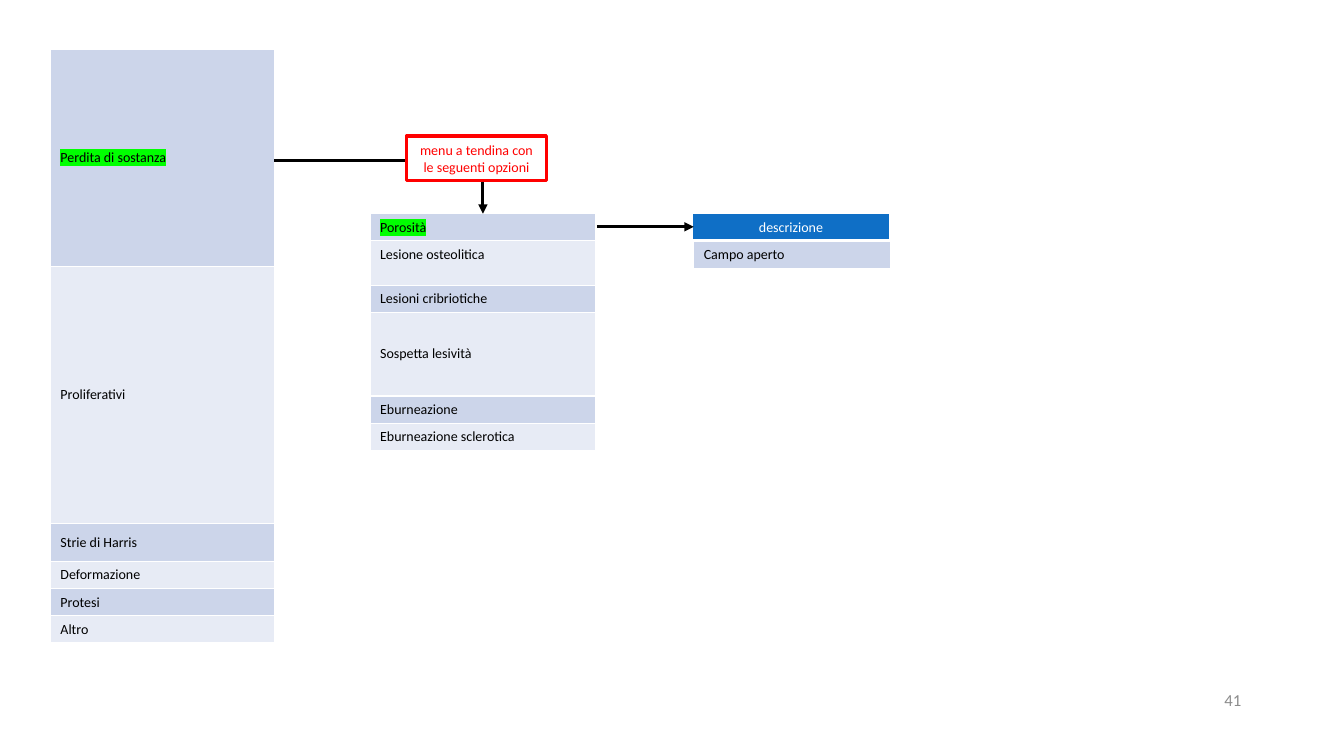
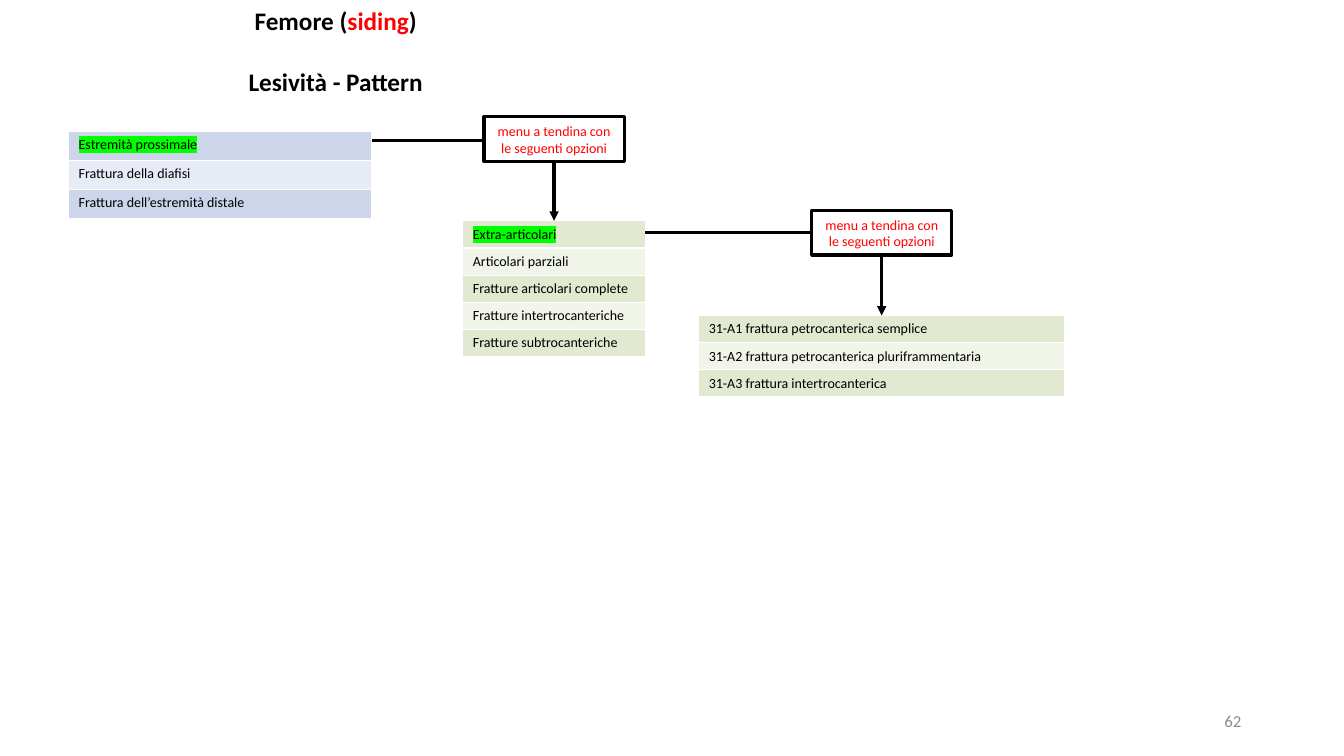
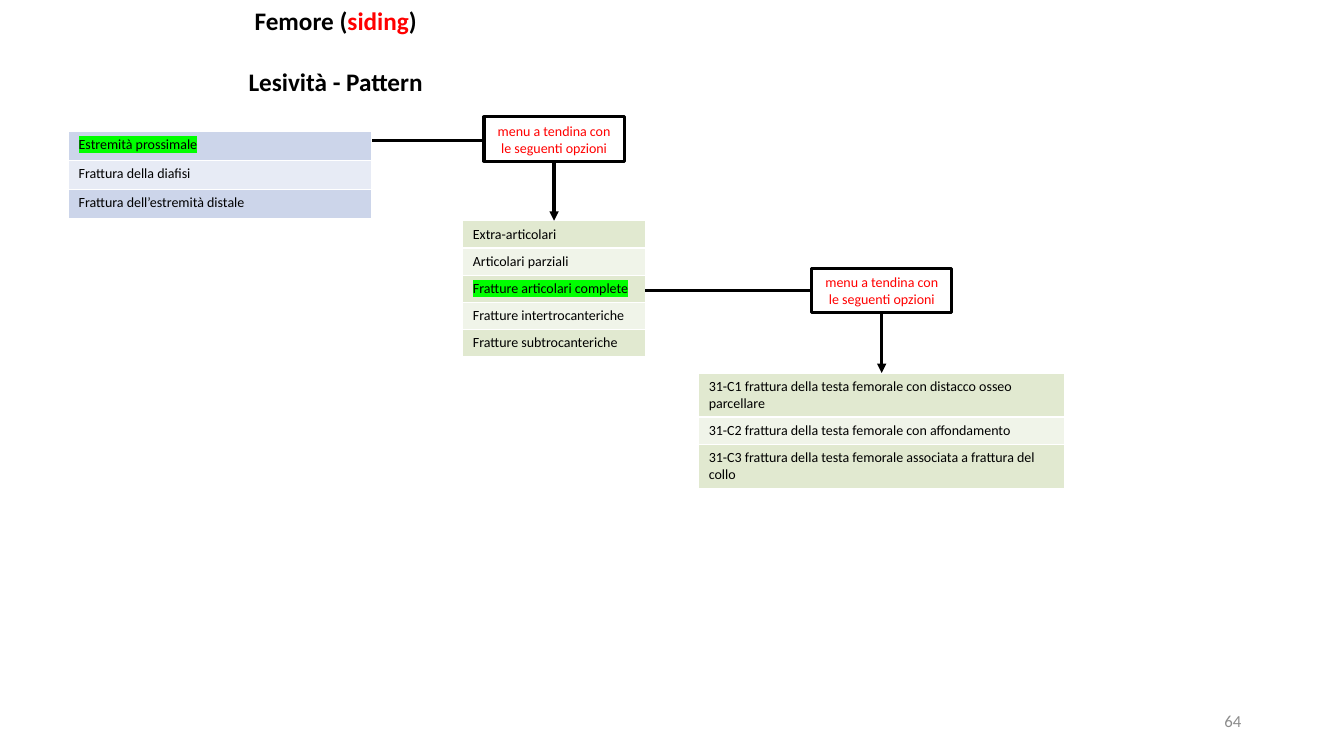
from lxml.etree import SubElement
from pptx import Presentation
from pptx.dml.color import RGBColor
from pptx.enum.shapes import MSO_CONNECTOR, MSO_SHAPE
from pptx.enum.text import MSO_ANCHOR, PP_ALIGN
from pptx.oxml.ns import qn
from pptx.util import Inches, Pt

HUES = {
    "black": "000000", "white": "FFFFFF", "red": "FF0000", "lime": "00FF00",
    "grey": "8C8C8C", "blue": "0F6FC6",
}
BLUES = ("CCD5EA", "E7EBF5")
GREENS = ("E1E9D0", "F0F4E9")
BODY = {"name": "Calibri", "size": Pt(10), "bold": False}
HEAD = {"name": "Calibri", "size": Pt(18), "bold": True}
FOOT = {"name": "Calibri", "size": Pt(12), "bold": False}
ROW = 0.27
MENU = "menu a tendina con le seguenti opzioni"
BOX_W, BOX_H = 1.39, 0.44

ENDS = ["Estremità prossimale", "Frattura della diafisi",
        "Frattura dell’estremità distale"]
KINDS = ["Extra-articolari", "Articolari parziali", "Fratture articolari complete",
         "Fratture intertrocanteriche", "Fratture subtrocanteriche"]


def write(para, text, style=BODY, hue="black", mark=False):
    run = para.add_run()
    run.text = text
    for key, value in style.items():
        setattr(run.font, key, value)
    run.font.color.rgb = RGBColor.from_string(HUES[hue])
    if mark:
        fill = run._r.rPr.find(qn("a:solidFill"))
        light = SubElement(run._r.rPr, qn("a:highlight"))
        SubElement(light, qn("a:srgbClr"), val=HUES["lime"])
        fill.addnext(light)


def edge(cell, base):
    """Draw white cell borders; base is the bottom one's width in points."""
    props = cell._tc.get_or_add_tcPr()
    for side, width in (("L", 1), ("R", 1), ("T", 1), ("B", base)):
        line = SubElement(props, qn(f"a:ln{side}"), w=str(Pt(width)))
        fill = SubElement(line, qn("a:solidFill"))
        SubElement(fill, qn("a:srgbClr"), val=HUES["white"])


def add_list(slide, left, top, width, items, tints, rows=None, mark=None,
             high=(), hue="black", align=PP_ALIGN.LEFT, base=1):
    """One-column table; mark is the highlighted row, high the top-anchored rows."""
    rows = rows or [ROW] * len(items)
    frame = slide.shapes.add_table(len(items), 1, Inches(left), Inches(top),
                                   Inches(width), Inches(sum(rows)))
    table = frame.table
    table.first_row = table.horz_banding = False
    for i, (item, height) in enumerate(zip(items, rows)):
        table.rows[i].height = Inches(height)
        cell = table.cell(i, 0)
        edge(cell, base)
        cell.fill.solid()
        cell.fill.fore_color.rgb = RGBColor.from_string(tints[i % len(tints)])
        cell.vertical_anchor = MSO_ANCHOR.TOP if i in high else MSO_ANCHOR.MIDDLE
        para = cell.text_frame.paragraphs[0]
        para.alignment = align
        write(para, item, hue=hue, mark=i == mark)
    return frame


def add_arrow(slide, start, end, kind=MSO_CONNECTOR.STRAIGHT):
    points = [Inches(n) for n in (*start, *end)]
    arrow = slide.shapes.add_connector(kind, *points)
    arrow.line.width = Pt(2.25)
    arrow.line.color.rgb = RGBColor.from_string(HUES["black"])
    SubElement(arrow.line._get_or_add_ln(), qn("a:tailEnd"), type="triangle")
    SubElement(arrow._element.spPr, qn("a:effectLst"))
    return arrow


def add_menu(slide, left, top, start, goal, hue="black"):
    """Menu box over a one-bend arrow from the point start to the table goal."""
    tip = ((goal.left + goal.width / 2) / Inches(1), goal.top / Inches(1))
    bend = add_arrow(slide, start, tip, MSO_CONNECTOR.ELBOW)
    bend._element.spPr.find(qn("a:prstGeom")).set("prst", "bentConnector2")
    bend.end_connect(goal, 0)

    box = slide.shapes.add_shape(MSO_SHAPE.RECTANGLE, Inches(left), Inches(top),
                                 Inches(BOX_W), Inches(BOX_H))
    box.shadow.inherit = False
    box.fill.solid()
    box.fill.fore_color.rgb = RGBColor.from_string(HUES["white"])
    box.line.color.rgb = RGBColor.from_string(HUES[hue])
    box.line.width = Pt(2.25)
    box.text_frame.word_wrap = True
    para = box.text_frame.paragraphs[0]
    para.alignment = PP_ALIGN.CENTER
    write(para, MENU, hue="red")


def add_page(slide, number, top):
    box = slide.shapes.add_textbox(Inches(9.41), Inches(top), Inches(3), Inches(0.4))
    box.text_frame.word_wrap = True
    box.text_frame.vertical_anchor = MSO_ANCHOR.MIDDLE
    para = box.text_frame.paragraphs[0]
    para.alignment = PP_ALIGN.RIGHT
    write(para, number, FOOT, "grey")


def add_title(slide):
    title = slide.shapes.title
    place = {"left": 0, "top": 0, "width": 6.66, "height": 1.01}
    for key, value in place.items():
        setattr(title, key, Inches(value))
    frame = title.text_frame
    frame.word_wrap = True
    frame.vertical_anchor = MSO_ANCHOR.TOP
    first, second = frame.paragraphs[0], frame.add_paragraph()
    for para in (first, second):
        para.alignment = PP_ALIGN.CENTER
    for text, hue in (("Femore (", "black"), ("siding", "red"), (")", "black")):
        write(first, text, HEAD, hue)
    second.space_before = Pt(22)
    write(second, "Lesività - Pattern", HEAD)


def add_loss(deck):
    slide = deck.slides.add_slide(deck.slide_layouts[6])
    add_list(slide, 0.5, 0.49, 2.22,
             ["Perdita di sostanza", "Proliferativi", "Strie di Harris",
              "Deformazione", "Protesi", "Altro"],
             BLUES, [2.15, 2.55, 0.38, ROW, ROW, ROW], mark=0)
    losses = add_list(slide, 3.67, 2.12, 2.24,
                      ["Porosità", "Lesione osteolitica", "Lesioni cribriotiche",
                       "Sospetta lesività", "Eburneazione",
                       "Eburneazione sclerotica"],
                      BLUES, [ROW, 0.44, ROW, 0.83, ROW, ROW], mark=0, high=(1,))
    add_list(slide, 6.87, 2.12, 1.95, ["descrizione"], [HUES["blue"]],
             hue="white", align=PP_ALIGN.CENTER, base=3)
    add_list(slide, 6.88, 2.39, 1.95, ["Campo aperto"], BLUES)
    add_menu(slide, 4.03, 1.35, (2.72, 1.59), losses, "red")
    add_arrow(slide, (5.92, 2.25), (6.88, 2.25))
    add_page(slide, "41", 6.74)


def add_femur(deck, number, pick, top, items, rows=None):
    """Fracture slide: row pick of the kinds opens the list items; top is its menu's."""
    slide = deck.slides.add_slide(deck.slide_layouts[5])
    add_title(slide)
    add_list(slide, 0.68, 1.3, 3.01, ENDS, BLUES, [0.29] * 3, mark=0, high=range(3))
    kinds = add_list(slide, 4.59, 2.19, 1.81, KINDS, GREENS, mark=pick)
    cases = add_list(slide, 6.93, top + 1.04, 3.63, items, GREENS, rows)
    add_menu(slide, 4.8, 1.16, (3.69, 1.39), kinds)
    add_menu(slide, 8.05, top, (6.4, top + BOX_H / 2), cases)
    add_page(slide, number, 6.95)


def main():
    deck = Presentation()
    deck.slide_width, deck.slide_height = Inches(13.33), Inches(7.5)
    add_loss(deck)
    add_femur(deck, "62", 0, 2.09,
              ["31-A1 frattura petrocanterica semplice",
               "31-A2 frattura petrocanterica pluriframmentaria",
               "31-A3 frattura intertrocanterica"])
    add_femur(deck, "64", 2, 2.66,
              ["31-C1 frattura della testa femorale con distacco osseo parcellare",
               "31-C2 frattura della testa femorale con affondamento",
               "31-C3 frattura della testa femorale associata a frattura del collo"],
              [0.43, ROW, 0.43])
    deck.save("out.pptx")


if __name__ == "__main__":
    main()
